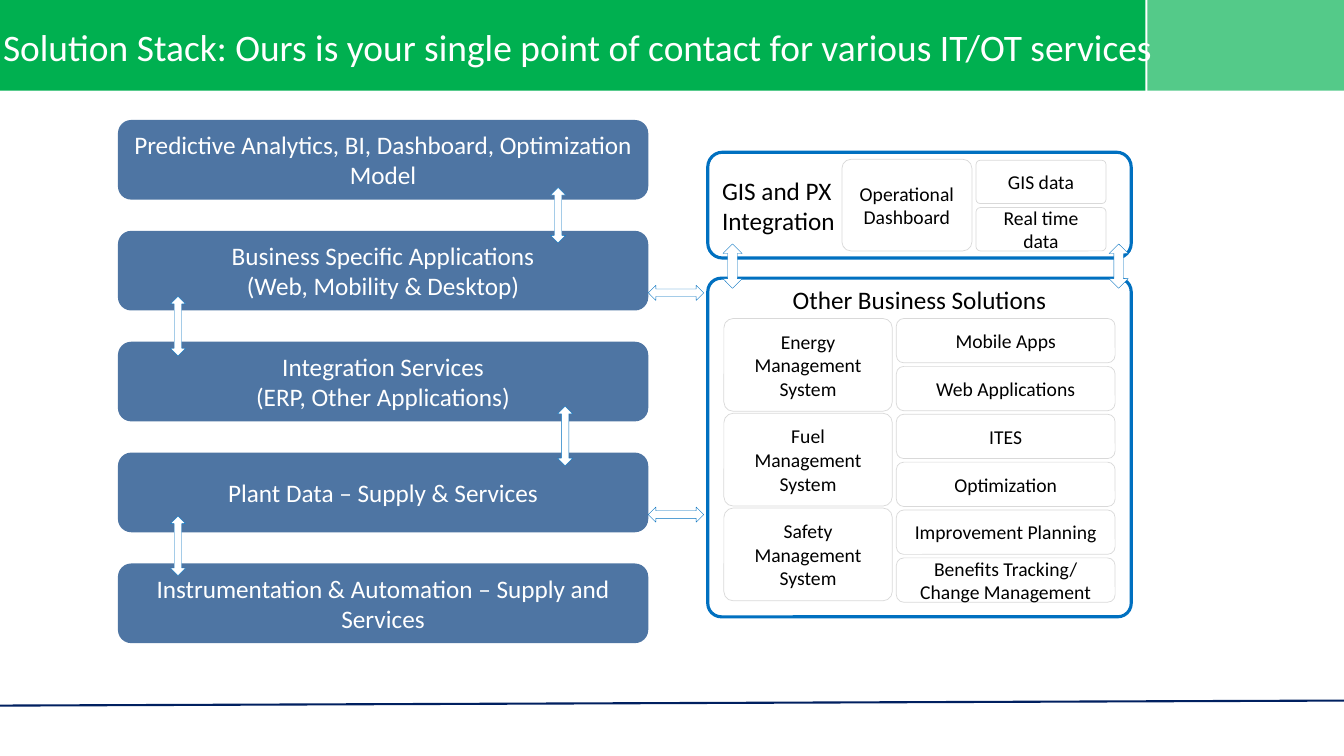
from lxml.etree import SubElement
from pptx import Presentation
from pptx.dml.color import RGBColor
from pptx.enum.shapes import MSO_CONNECTOR, MSO_SHAPE
from pptx.enum.text import MSO_ANCHOR, PP_ALIGN
from pptx.oxml.ns import qn
from pptx.util import Inches, Pt

# Content
TITLE = "Solution Stack: Ours is your single point of contact for various IT/OT services"
LAYERS = [
    "Predictive Analytics, BI, Dashboard, Optimization Model",
    "Business Specific Applications\n(Web, Mobility & Desktop)",
    "Integration Services\n(ERP, Other Applications)",
    "Plant Data – Supply & Services",
    "Instrumentation & Automation – Supply and Services",
]
INTEGRATION = "GIS and PX\nIntegration"
DASHBOARD = "Operational Dashboard"
DATA_FEEDS = ["GIS data", "Real time data"]
SOLUTIONS = "Other Business Solutions"
SYSTEMS = ["Energy Management System", "Fuel Management System", "Safety Management System"]
SERVICES = ["Mobile Apps", "Web Applications", "ITES", "Optimization",
            "Improvement Planning", "Benefits Tracking/ Change Management"]

# Arrows: left, top, width, height
VERTICAL_ARROWS = [
    (5.46, 1.86, 0.15, 0.55), (1.69, 2.94, 0.15, 0.59),
    (5.53, 4.03, 0.15, 0.59), (1.69, 5.12, 0.15, 0.59),
    (7.17, 2.42, 0.19, 0.44), (11, 2.42, 0.19, 0.44),
]
HORIZONTAL_ARROWS = [(6.43, 2.83, 0.55, 0.15), (6.43, 5.03, 0.55, 0.15)]

FONT = "Calibri"
WHITE = RGBColor(0xFF, 0xFF, 0xFF)
BLACK = RGBColor(0, 0, 0)
GREEN = RGBColor(0x00, 0xB0, 0x50)
NAVY = RGBColor(0x00, 0x20, 0x60)
STEEL = RGBColor(0x4E, 0x75, 0xA3)
BLUE = RGBColor(0x00, 0x70, 0xC0)
GREY = RGBColor(0xD9, 0xD9, 0xD9)

deck = Presentation()
deck.slide_width, deck.slide_height = Inches(13.33), Inches(7.5)
page = deck.slides.add_slide(deck.slide_layouts[5])


def add_shape(kind, place, fill=None, line=None, line_width=0.5):
    shape = page.shapes.add_shape(kind, *map(Inches, place))
    shape.shadow.inherit = False
    if fill is None:
        shape.fill.background()
    else:
        shape.fill.solid()
        shape.fill.fore_color.rgb = fill
    if line is None:
        shape.line.fill.background()
    else:
        shape.line.color.rgb = line
        shape.line.width = Pt(line_width)
    return shape


def write(shape, text, size, color, align=PP_ALIGN.CENTER, anchor=MSO_ANCHOR.MIDDLE):
    frame = shape.text_frame
    frame.text = text
    frame.word_wrap = True
    frame.vertical_anchor = anchor
    for para in frame.paragraphs:
        para.alignment = align
        for span in para.runs:
            span.font.name = FONT
            span.font.size = Pt(size)
            span.font.color.rgb = color


def add_card(text, place, corner=0.1):
    card = add_shape(MSO_SHAPE.ROUNDED_RECTANGLE, place, line=GREY)
    card.adjustments[0] = corner
    write(card, text, 14, BLACK)


def add_panel(text, place, corner, align, anchor):
    panel = add_shape(MSO_SHAPE.ROUNDED_RECTANGLE, place, line=BLUE, line_width=2.25)
    panel.adjustments[0] = corner
    panel.text_frame.margin_top = Inches(0.02)
    panel.text_frame.margin_bottom = Inches(0.02)
    write(panel, text, 18, BLACK, align, anchor)


# Header bands and footer rule
accent = add_shape(MSO_SHAPE.RECTANGLE, (11.38, 0, 1.95, 0.9), GREEN)
accent_color = accent.element.spPr.find(qn("a:solidFill"))[0]
SubElement(accent_color, qn("a:alpha")).set("val", "67000")
add_shape(MSO_SHAPE.RECTANGLE, (0, 0, 11.36, 0.9), GREEN)
rule = page.shapes.add_connector(MSO_CONNECTOR.STRAIGHT, Inches(0), Inches(7),
                                 Inches(13.33), Inches(6.95))
rule.line.color.rgb = NAVY
rule.line.width = Pt(1.5)
SubElement(rule.element.spPr, qn("a:effectLst"))

# Title, brought in front of the bands
title = page.shapes.title
title.left, title.top = Inches(-0.07), Inches(0.19)
title.width, title.height = Inches(12.63), Inches(0.55)
write(title, TITLE, 26.7, WHITE, PP_ALIGN.LEFT)
title.element.getparent().append(title.element)

# Layers of the stack
for index, text in enumerate(LAYERS):
    layer = add_shape(MSO_SHAPE.ROUNDED_RECTANGLE, (1.17, 1.19 + 1.1 * index, 5.26, 0.79), STEEL)
    write(layer, text, 18, WHITE)

# Integration panel
add_panel(INTEGRATION, (7.02, 1.51, 4.2, 1.05), 0.14, PP_ALIGN.LEFT, MSO_ANCHOR.MIDDLE)
add_card(DASHBOARD, (8.35, 1.58, 1.29, 0.91))
for index, text in enumerate(DATA_FEEDS):
    add_card(text, (9.68, 1.59 + 0.47 * index, 1.29, 0.43))

# Business solutions panel
add_panel(SOLUTIONS, (7.02, 2.76, 4.2, 3.36), 0.04, PP_ALIGN.CENTER, MSO_ANCHOR.TOP)
for index, text in enumerate(SYSTEMS):
    add_card(text, (7.18, 3.16 + 0.94 * index, 1.67, 0.92))
for index, text in enumerate(SERVICES):
    add_card(text, (8.89, 3.16 + 0.475 * index, 2.17, 0.44), 0.17)

# Arrows between the parts
for kind, places in ((MSO_SHAPE.UP_DOWN_ARROW, VERTICAL_ARROWS),
                     (MSO_SHAPE.LEFT_RIGHT_ARROW, HORIZONTAL_ARROWS)):
    for place in places:
        add_shape(kind, place, WHITE, BLUE, 0.25)

deck.save("out.pptx")
